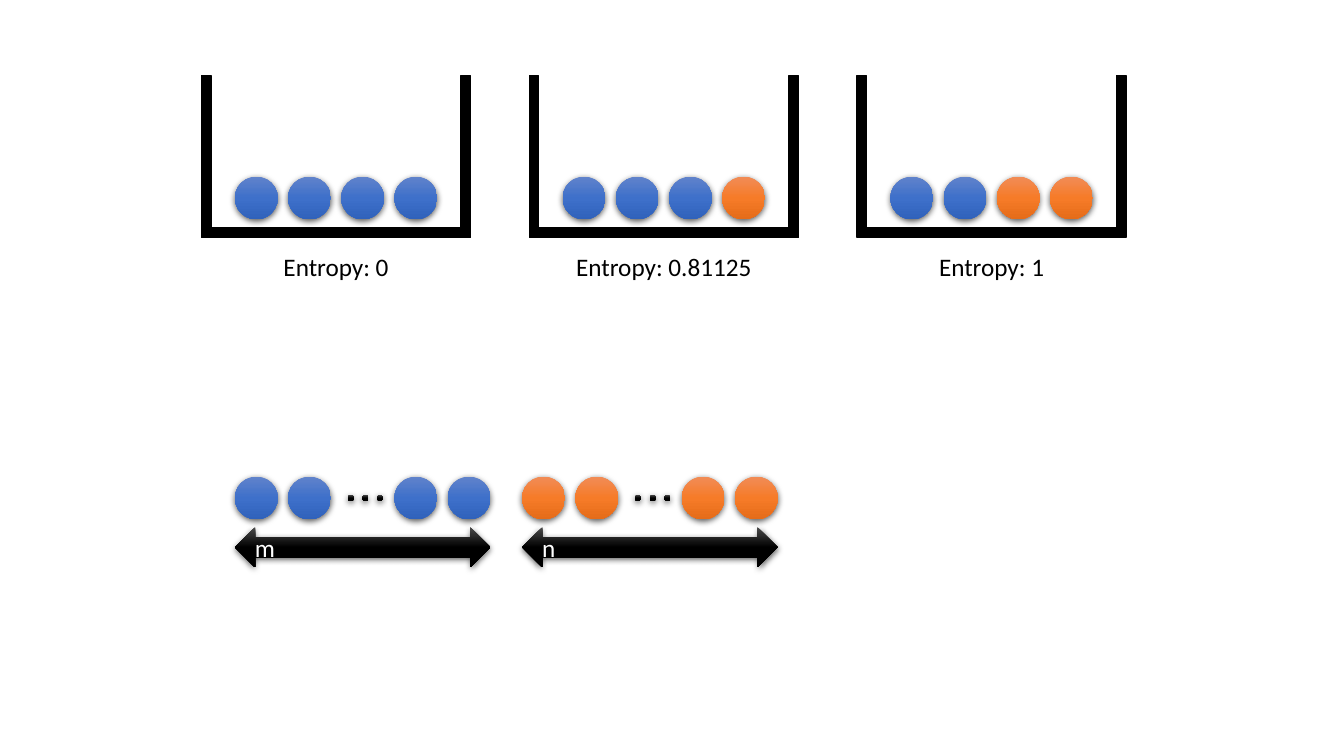
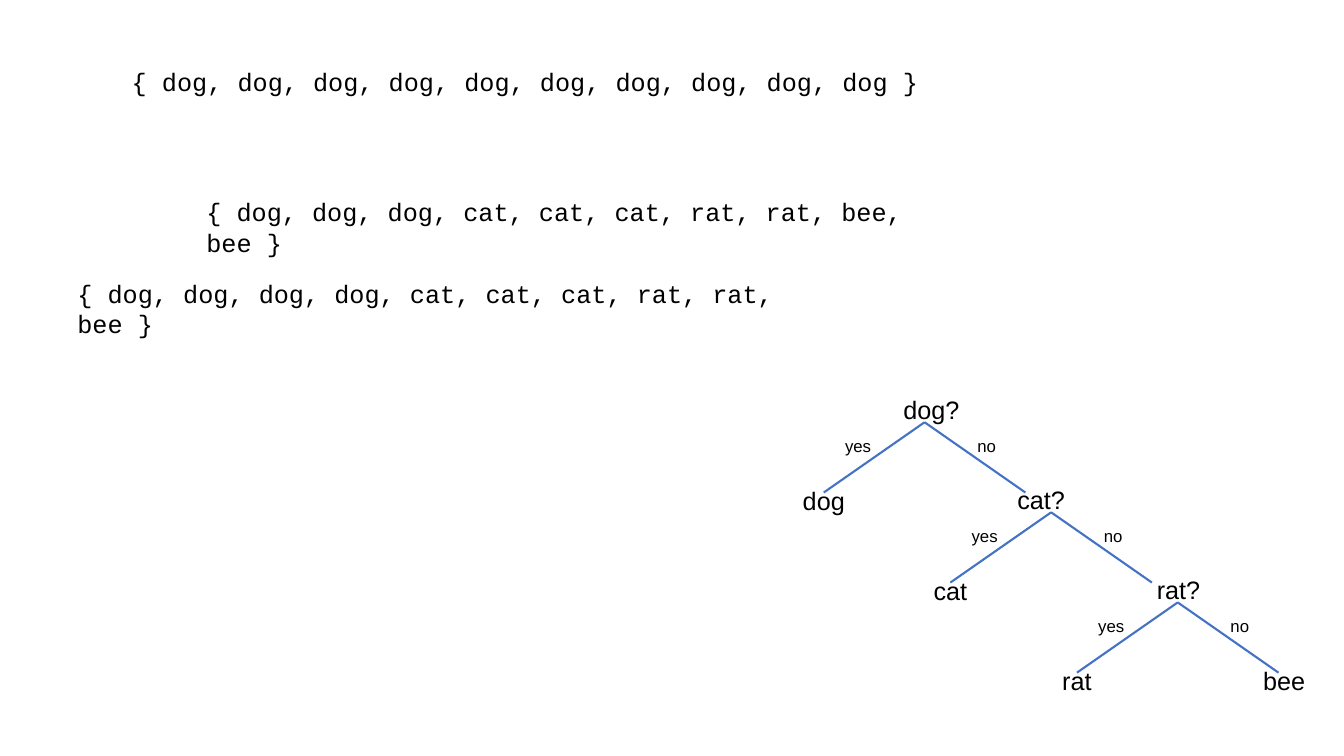
from dataclasses import dataclass

from lxml.etree import SubElement
from pptx import Presentation
from pptx.dml.color import RGBColor
from pptx.enum.shapes import MSO_CONNECTOR, MSO_SHAPE as Preset
from pptx.enum.text import MSO_AUTO_SIZE as AutoSize, PP_ALIGN as Align
from pptx.oxml.ns import qn
from pptx.util import Cm, Pt


@dataclass(frozen=True)
class Theme:
    blue: tuple = ("6183CB", "3E70CA", "3062BB")
    orange: tuple = ("F18C57", "F67B28", "E56C19")
    dark: tuple = ("4B4B4B", "000000", "000000")
    black: str = "000000"
    white: str = "FFFFFF"
    edge: str = "4472C4"
    body_font: str = "Calibri"
    tree_font: str = "Arial"
    code_font: str = "Courier New"
    body_size: int = 18
    small_size: int = 12


THEME = Theme()

# All lengths below are in centimetres.
BALL, BALL_PITCH = 1.08, 1.34
DOT, DOT_PITCH = 0.16, 0.37
ROW_LEFT = 5.92
JAR_LEFT, JAR_TOP, JAR_PITCH = 5.08, 1.91, 8.26
JAR_WIDTH, JAR_HEIGHT, WALL = 6.78, 4.06, 0.24
LINE_HEIGHT, SMALL_HEIGHT = 1.03, 0.77
FORK_LEFT, FORK_TOP = 23.3, 10.64
FORK_STEP_X, FORK_STEP_Y = 3.19, 2.27
EDGE_X, EDGE_Y = 2.54, 1.77

JARS = [  # blue balls, orange balls, label, label width
    (4, 0, "Entropy: 0", 3.2),
    (3, 1, "Entropy: 0.81125", 4.98),
    (2, 2, "Entropy: 1", 3.2),
]
SERIES = [("m", THEME.blue), ("n", THEME.orange)]
SETS = [  # left, top, width, counted words
    (3.07, 1.55, 20.9, {"dog": 10}),
    (1.7, 6.88, 18.92, {"dog": 4, "cat": 3, "rat": 2, "bee": 1}),
    (4.95, 4.83, 18.87, {"dog": 3, "cat": 3, "rat": 2, "bee": 2}),
]
QUESTIONS = [  # question, its width and shift from the fork, answer, its width
    ("dog?", 1.93, 0.17, "dog", 1.57),
    ("cat?", 1.73, -0.25, "cat", 1.37),
    ("rat?", 1.63, 0.02, "rat", 1.27),
]


def box(left, top, width, height):
    return Cm(left), Cm(top), Cm(width), Cm(height)


def format_text(shape, text, font_name, size, color):
    shape.text_frame.text = text
    for paragraph in shape.text_frame.paragraphs:
        for run in paragraph.runs:
            run.font.name = font_name
            run.font.size = Pt(size)
            run.font.color.rgb = RGBColor.from_string(color)


def add_text(shapes, text, bounds, font_name, size=THEME.body_size, wrap=False):
    text_box = shapes.add_textbox(*box(*bounds))
    format_text(text_box, text, font_name, size, THEME.black)
    text_box.text_frame.word_wrap = wrap
    text_box.text_frame.auto_size = AutoSize.SHAPE_TO_FIT_TEXT
    if not wrap:
        text_box.text_frame.paragraphs[0].alignment = Align.CENTER


def add_centered_text(shapes, text, center, top, width, font_name):
    add_text(shapes, text, (center - width / 2, top, width, LINE_HEIGHT), font_name)


def add_glossy(shapes, preset, bounds, colors):
    """Add a shape with a vertical three-stop gradient and a soft shadow."""
    shape = shapes.add_shape(preset, *box(*bounds))
    properties = shape.element.spPr
    gradient = SubElement(properties, qn("a:gradFill"), rotWithShape="1")
    stops = SubElement(gradient, qn("a:gsLst"))
    for position, color in zip((0, 50000, 100000), colors):
        stop = SubElement(stops, qn("a:gs"), pos=str(position))
        SubElement(stop, qn("a:srgbClr"), val=color)
    SubElement(gradient, qn("a:lin"), ang="5400000", scaled="0")
    shape.line.fill.background()
    effects = SubElement(properties, qn("a:effectLst"))
    shadow = SubElement(effects, qn("a:outerShdw"), blurRad=str(Pt(4.5)),
                        dist=str(Pt(1.5)), dir="5400000", algn="ctr", rotWithShape="0")
    shadow_color = SubElement(shadow, qn("a:srgbClr"), val=THEME.black)
    SubElement(shadow_color, qn("a:alpha"), val="63000")
    return shape


def add_ball(shapes, row_left, slot, top, colors):
    bounds = (row_left + slot * BALL_PITCH, top, BALL, BALL)
    add_glossy(shapes, Preset.OVAL, bounds, colors)


def add_jar(shapes, left):
    group = shapes.add_group_shape()
    sides = [
        (left, JAR_TOP, WALL, JAR_HEIGHT),
        (left + JAR_WIDTH - WALL, JAR_TOP, WALL, JAR_HEIGHT),
        (left, JAR_TOP + JAR_HEIGHT - WALL, JAR_WIDTH, WALL),
    ]
    for side in sides:
        shape = group.shapes.add_shape(Preset.RECTANGLE, *box(*side))
        shape.shadow.inherit = False
        shape.fill.solid()
        shape.fill.fore_color.rgb = RGBColor.from_string(THEME.black)
        shape.line.color.rgb = RGBColor.from_string(THEME.black)
        shape.line.width = Pt(1)


def add_series(shapes, left, letter, colors):
    """Add a row of balls with an ellipsis, measured by a lettered arrow."""
    for slot in (0, 1, 3, 4):
        add_ball(shapes, left, slot, 12.01, colors)
    ellipsis = shapes.add_group_shape()
    for index in range(3):
        bounds = (left + 2.84 + index * DOT_PITCH, 12.47, DOT, DOT)
        add_glossy(ellipsis.shapes, Preset.OVAL, bounds, THEME.dark)
    arrow_bounds = (left, 13.28, 4 * BALL_PITCH + BALL, 1.02)
    arrow = add_glossy(shapes, Preset.LEFT_RIGHT_ARROW, arrow_bounds, THEME.dark)
    format_text(arrow, letter, THEME.body_font, THEME.body_size, THEME.white)


def add_edge(shapes, left, top, end_left):
    edge = shapes.add_connector(MSO_CONNECTOR.STRAIGHT, Cm(left), Cm(top),
                                Cm(end_left), Cm(top + EDGE_Y))
    edge.line.color.rgb = RGBColor.from_string(THEME.edge)
    edge.line.width = Pt(1.5)
    SubElement(edge.element.spPr, qn("a:effectLst"))


def add_fork(shapes, left, top, question, question_width, shift, answer, answer_width):
    add_centered_text(shapes, question, left + shift, top - 0.83, question_width,
                      THEME.tree_font)
    for direction, label, label_shift, label_width in (
            (-1, "yes", -2.26, 1.17), (1, "no", 1.07, 0.99)):
        add_edge(shapes, left, top, left + direction * EDGE_X)
        label_bounds = (left + label_shift, top + 0.21, label_width, SMALL_HEIGHT)
        add_text(shapes, label, label_bounds, THEME.tree_font, THEME.small_size)
    add_centered_text(shapes, answer, left - EDGE_X, top + EDGE_Y - 0.31, answer_width,
                      THEME.tree_font)


def add_tree(shapes):
    tree = shapes.add_group_shape().shapes
    for level, question in enumerate(QUESTIONS):
        add_fork(tree, FORK_LEFT + level * FORK_STEP_X,
                 FORK_TOP + level * FORK_STEP_Y, *question)
    add_centered_text(tree, "bee", 32.36, 16.64, 1.57, THEME.tree_font)


def build_entropy_slide(slide):
    for index, (blue_count, orange_count, label, label_width) in enumerate(JARS):
        left = JAR_LEFT + index * JAR_PITCH
        add_jar(slide.shapes, left)
        balls = [THEME.blue] * blue_count + [THEME.orange] * orange_count
        for slot, colors in enumerate(balls):
            add_ball(slide.shapes, left + ROW_LEFT - JAR_LEFT, slot, 4.45, colors)
        add_centered_text(slide.shapes, label, left + JAR_WIDTH / 2, 6.22, label_width,
                          THEME.body_font)
    for index, (letter, colors) in enumerate(SERIES):
        add_series(slide.shapes, ROW_LEFT + index * 7.24, letter, colors)


def build_tree_slide(slide):
    add_tree(slide.shapes)
    for left, top, width, counts in SETS:
        words = [word for word, count in counts.items() for _ in range(count)]
        add_text(slide.shapes, "{ " + ", ".join(words) + " }",
                 (left, top, width, LINE_HEIGHT), THEME.code_font, wrap=True)


def main():
    presentation = Presentation()
    presentation.slide_width = Cm(33.87)
    presentation.slide_height = Cm(19.05)
    blank_layout = presentation.slide_layouts[6]
    for build in (build_entropy_slide, build_tree_slide):
        build(presentation.slides.add_slide(blank_layout))
    presentation.save("out.pptx")


if __name__ == "__main__":
    main()
